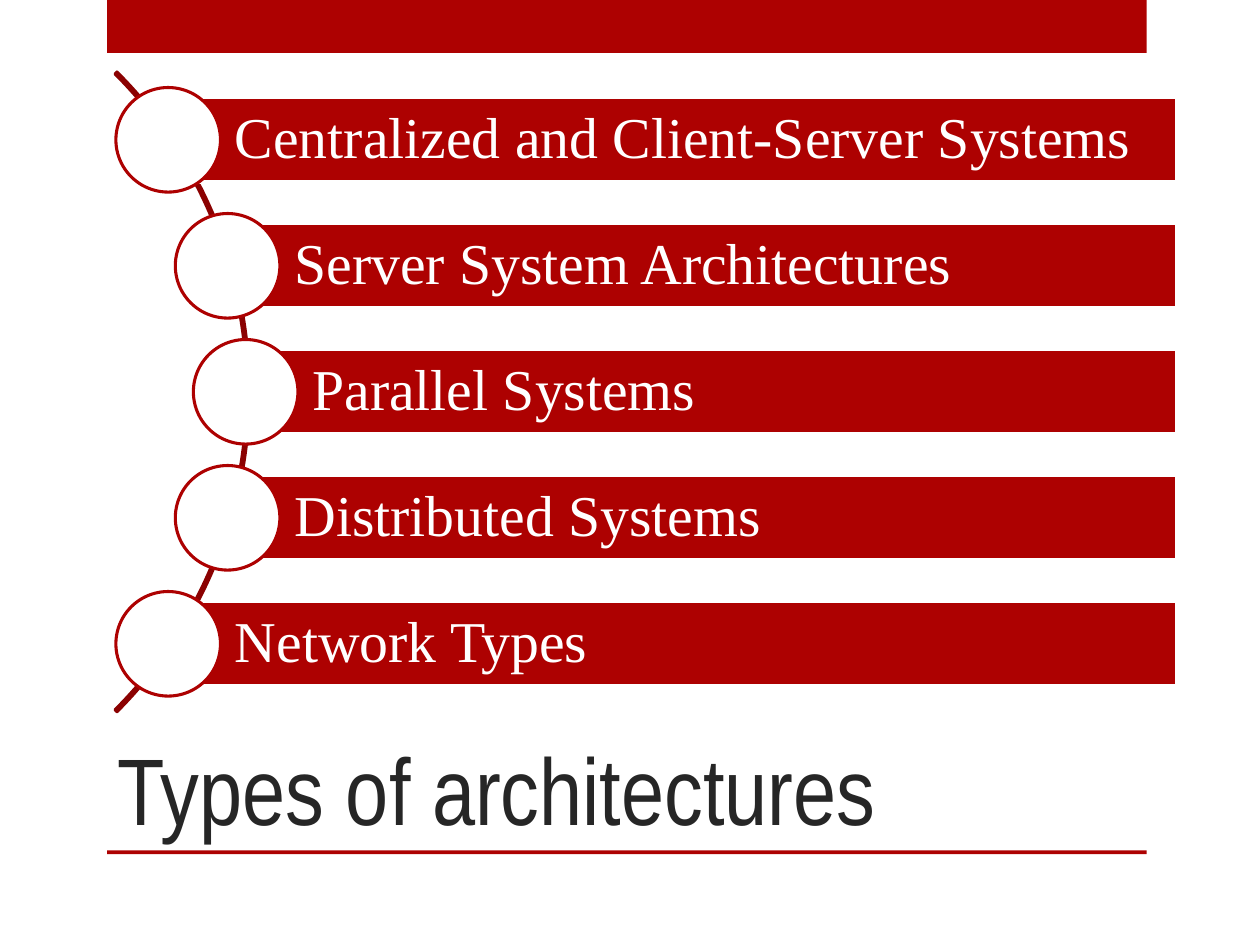
from dataclasses import dataclass
from math import sqrt

from pptx import Presentation
from pptx.dml.color import RGBColor
from pptx.enum.shapes import MSO_SHAPE as Shp
from pptx.enum.text import MSO_ANCHOR as Anchor, PP_ALIGN as Align
from pptx.util import Inches, Pt

COLORS = {"red": "AD0101", "dark_red": "8B0101", "white": "FFFFFF", "ink": "262626"}
W, H = 10, 7.5

# The list rows sit one inch apart; their circles ride on one large arc
ROW_TOP, ROW_STEP = 1.11, 1.0
BAR_H, BAR_RIGHT, CIRCLE = 0.67, 9.34, 0.83
ARC_X, ARC_Y = -1.61, ROW_TOP + 2 * ROW_STEP
ARC_R, TRACK_R = 3.59, 3.56


@dataclass
class Row:
    index: int
    label: str

    @property
    def y(self) -> float:
        return ROW_TOP + self.index * ROW_STEP

    @property
    def x(self) -> float:
        return ARC_X + sqrt(TRACK_R**2 - (self.y - ARC_Y)**2)


LABELS = ["Centralized and Client-Server Systems", "Server System Architectures",
          "Parallel Systems", "Distributed Systems", "Network Types"]


def color(name: str) -> RGBColor:
    return RGBColor.from_string(COLORS[name])


def add_shape(s, kind, x: float, y: float, w: float, h: float,
              fill: str | None = None, line: str | None = None):
    sp = s.shapes.add_shape(kind, Inches(x), Inches(y), Inches(w), Inches(h))
    sp.shadow.inherit = False
    if fill:
        sp.fill.solid()
        sp.fill.fore_color.rgb = color(fill)
    else:
        sp.fill.background()
    if line:
        sp.line.color.rgb = color(line)
        sp.line.width = Pt(1.75)
    else:
        sp.line.fill.background()
    return sp


def format_text(p, font: str, size: float, ink: str) -> None:
    p.alignment = Align.LEFT
    for r in p.runs:
        r.font.name, r.font.size = font, Pt(size)
        r.font.color.rgb = color(ink)


def add_row(s, row: Row) -> None:
    bar = add_shape(s, Shp.RECTANGLE, row.x, row.y - BAR_H / 2,
                    BAR_RIGHT - row.x, BAR_H, "red", "white")
    tf = bar.text_frame
    tf.word_wrap = True
    tf.vertical_anchor = Anchor.MIDDLE
    tf.margin_left = Inches(0.53)
    tf.margin_right = tf.margin_top = tf.margin_bottom = Inches(0.09)
    tf.text = row.label
    p = tf.paragraphs[0]
    p.line_spacing = 0.9
    format_text(p, "Times New Roman", 33, "white")
    add_shape(s, Shp.OVAL, row.x - CIRCLE / 2, row.y - CIRCLE / 2,
              CIRCLE, CIRCLE, "white", "red")


def add_title(s, text: str) -> None:
    sp = s.shapes.title
    sp.left, sp.top = Inches(W / 12), Inches(H * 2 / 3)
    sp.width, sp.height = Inches(7.42), Inches(1.75)
    tf = sp.text_frame
    tf.word_wrap = True
    tf.vertical_anchor = Anchor.BOTTOM
    tf.text = text
    format_text(tf.paragraphs[0], "Arial Narrow", 54, "ink")


def main() -> None:
    prs = Presentation()
    prs.slide_width, prs.slide_height = Inches(W), Inches(H)
    s = prs.slides.add_slide(prs.slide_layouts[5])

    # Top band and rule under the title
    for y, h in ((0, 0.42), (H * 0.9, 0.03)):
        add_shape(s, Shp.RECTANGLE, 0.85, y, 8.25, h, "red")

    # Arc behind the list
    arc = add_shape(s, Shp.BLOCK_ARC, ARC_X - ARC_R, ARC_Y - ARC_R,
                    2 * ARC_R, 2 * ARC_R, line="dark_red")
    for i, value in enumerate((189, 27, 0.003)):
        arc.adjustments[i] = value

    # List of architectures
    for i, label in enumerate(LABELS):
        add_row(s, Row(i, label))

    add_title(s, "Types of architectures")
    prs.save("out.pptx")


if __name__ == "__main__":
    main()
